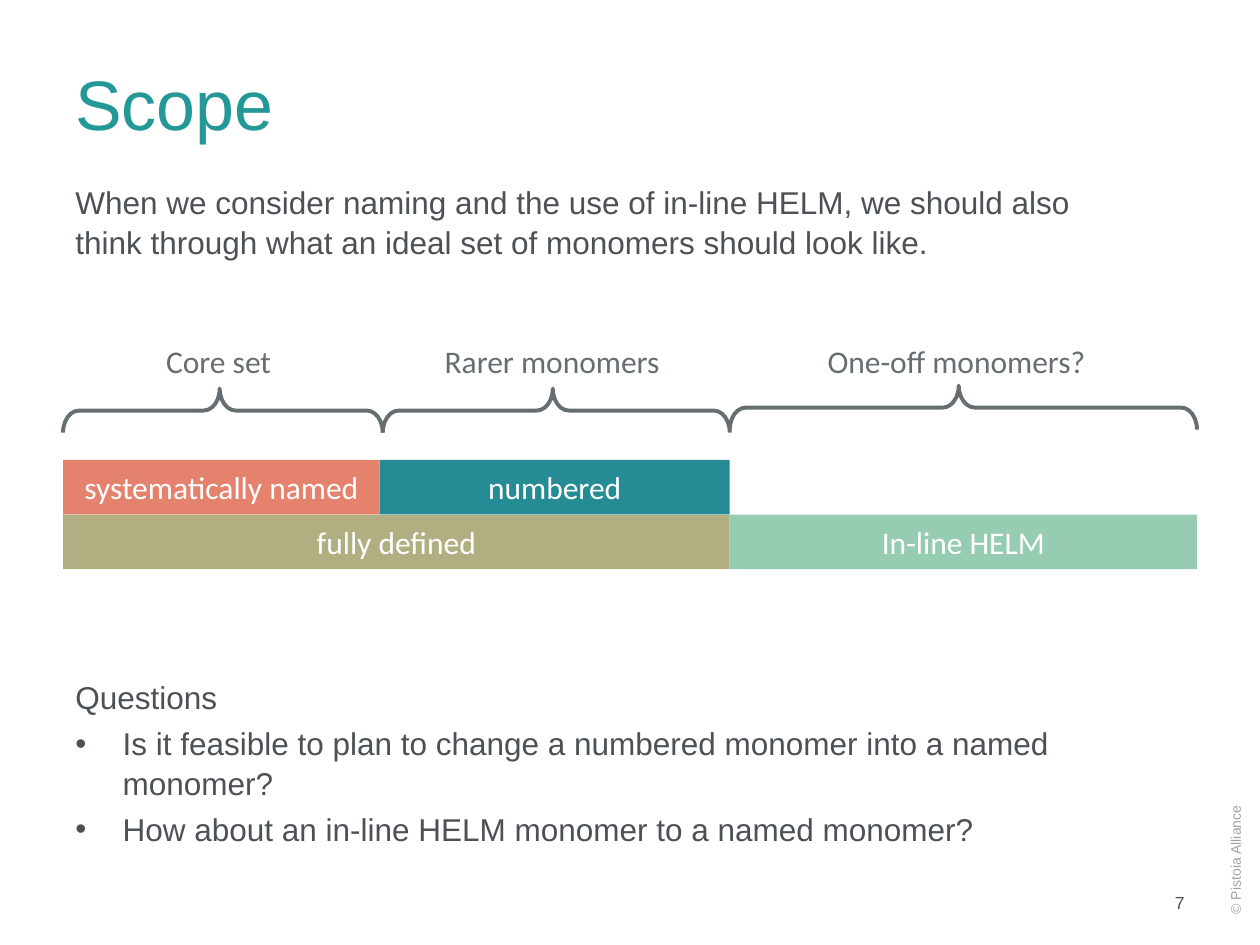
from lxml import etree
from pptx import Presentation
from pptx.dml.color import RGBColor
from pptx.enum.shapes import MSO_SHAPE
from pptx.enum.text import MSO_ANCHOR, PP_ALIGN
from pptx.oxml.ns import qn
from pptx.util import Pt

RECTANGLE = MSO_SHAPE.RECTANGLE
LEFT_BRACE = MSO_SHAPE.LEFT_BRACE
TOP, MIDDLE = MSO_ANCHOR.TOP, MSO_ANCHOR.MIDDLE
LEFT, CENTER, RIGHT = PP_ALIGN.LEFT, PP_ALIGN.CENTER, PP_ALIGN.RIGHT

INK, SLATE, TEAL, WHITE = "4C5156", "666E71", "249797", "FFFFFF"

# Edges of the three monomer groups and the two rows of bars
START, NAMED_END, NUMBERED_END, END = 36, 217, 417, 684
BAR_TOP, BAR_HEIGHT = 262.8, 31.2
BRACE_DEPTH = 25.2
INDENT = 27


def color(value):
    return RGBColor.from_string(value)


def add_run(paragraph, text, size, font_name, font_color):
    run = paragraph.add_run()
    run.text = text
    run.font.size = Pt(size)
    run.font.name = font_name
    run.font.color.rgb = color(font_color)


def add_bullet(paragraph):
    properties = paragraph._p.get_or_add_pPr()
    properties.set("marL", str(Pt(INDENT)))
    properties.set("indent", str(-Pt(INDENT)))
    etree.SubElement(properties, qn("a:buFont"), typeface="Arial")
    etree.SubElement(properties, qn("a:buChar"), char="•")


def add_text(slide, frame, lines, size, font_color, font_name="Arial",
             anchor=TOP, align=LEFT, wrap=True, spacing=None):
    """Text box with one paragraph per line; lines after the first are bullets."""
    box = slide.shapes.add_textbox(*map(Pt, frame))
    text_frame = box.text_frame
    text_frame.word_wrap = wrap
    text_frame.vertical_anchor = anchor
    for index, line in enumerate(lines):
        paragraph = text_frame.add_paragraph() if index else text_frame.paragraphs[0]
        paragraph.alignment = align
        if spacing:
            paragraph.line_spacing = spacing
        if index:
            paragraph.space_before = Pt(0.2 * size)
            add_bullet(paragraph)
        add_run(paragraph, line, size, font_name, font_color)
    return box


def add_bar(slide, left, right, row, text, fill):
    bar = slide.shapes.add_shape(RECTANGLE, Pt(left), Pt(BAR_TOP + row * BAR_HEIGHT),
                                 Pt(right - left), Pt(BAR_HEIGHT))
    bar.shadow.inherit = False
    bar.fill.solid()
    bar.fill.fore_color.rgb = color(fill)
    bar.line.fill.background()
    bar.text_frame.vertical_anchor = MIDDLE
    paragraph = bar.text_frame.paragraphs[0]
    paragraph.alignment = CENTER
    add_run(paragraph, text, 18, "Calibri", WHITE)


def add_brace(slide, left, right, top):
    """Brace pointing up: a left brace turned a quarter about its centre."""
    span = right - left
    brace = slide.shapes.add_shape(
        LEFT_BRACE, Pt((left + right - BRACE_DEPTH) / 2),
        Pt(top + (BRACE_DEPTH - span) / 2), Pt(BRACE_DEPTH), Pt(span))
    brace.rotation = 90
    brace.adjustments[0] = 0.36
    brace.adjustments[1] = 0.51
    brace.shadow.inherit = False
    brace.fill.background()
    brace.line.color.rgb = color(SLATE)
    brace.line.width = Pt(2.25)


def main():
    presentation = Presentation()
    presentation.slide_width, presentation.slide_height = Pt(720), Pt(540)
    slide = presentation.slides.add_slide(presentation.slide_layouts[6])

    # Copyright line up the right edge
    copyright_line = add_text(slide, (660.2, 469.4, 91.4, 28.8),
                              ["© Pistoia Alliance"], 8, "A0A3A5", anchor=MIDDLE)
    copyright_line.rotation = 270

    # Title, introduction and page number
    add_text(slide, (START, 28.6, 636.5, 55.4), ["Scope"], 40, TEAL, spacing=1.05)
    add_text(slide, (START, 100, 619.2, 67.7),
             ["When we consider naming and the use of in-line HELM, we should also "
              "think through what an ideal set of monomers should look like."],
             18, INK, spacing=1.05)
    add_text(slide, (643.7, 501.8, 40.3, 27.4), ["7"], 10, INK,
             anchor=MIDDLE, align=RIGHT)

    # Bars
    for left, right, row, text, fill in (
            (START, NUMBERED_END, 1, "fully defined", "B1AE82"),
            (NAMED_END, NUMBERED_END, 0, "numbered", "258B95"),
            (START, NAMED_END, 0, "systematically named", "E5826E"),
            (NUMBERED_END, END, 1, "In-line HELM", "95CCB2")):
        add_bar(slide, left, right, row, text, fill)

    # Braces with their labels
    for left, right, top, label, label_left, label_width in (
            (START, 218.7, 222, "Core set", 87.8, 75.6),
            (218.7, NUMBERED_END, 222, "Rarer monomers", 247, 139),
            (NUMBERED_END, END, 220.3, "One-off monomers?", 465.8, 164.2)):
        add_brace(slide, left, right, top)
        add_text(slide, (label_left, 192.2, label_width, 28.8), [label], 18, SLATE,
                 font_name="Calibri", wrap=False)

    # Questions
    add_text(slide, (START, 383, 619.2, 136),
             ["Questions",
              "Is it feasible to plan to change a numbered monomer into a named monomer?",
              "How about an in-line HELM monomer to a named monomer?"],
             18, INK, spacing=1.05)

    presentation.save("out.pptx")


if __name__ == "__main__":
    main()
